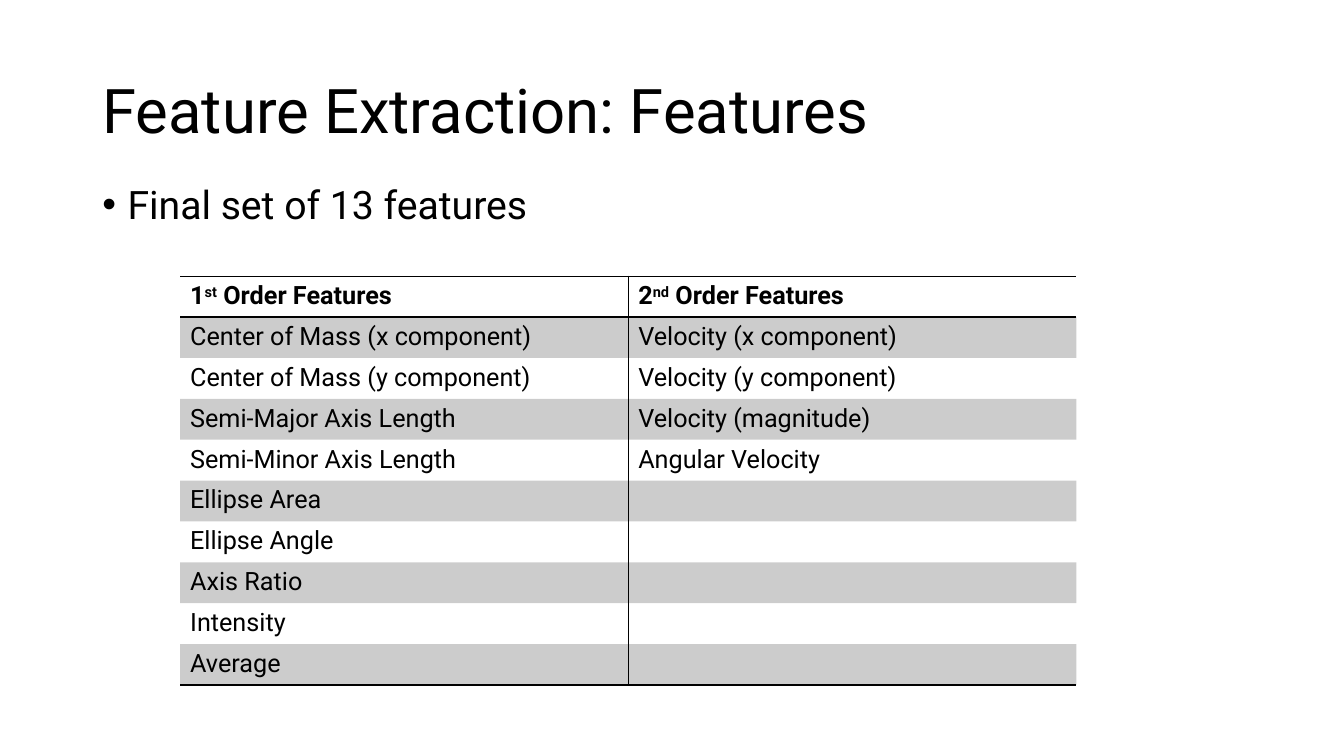
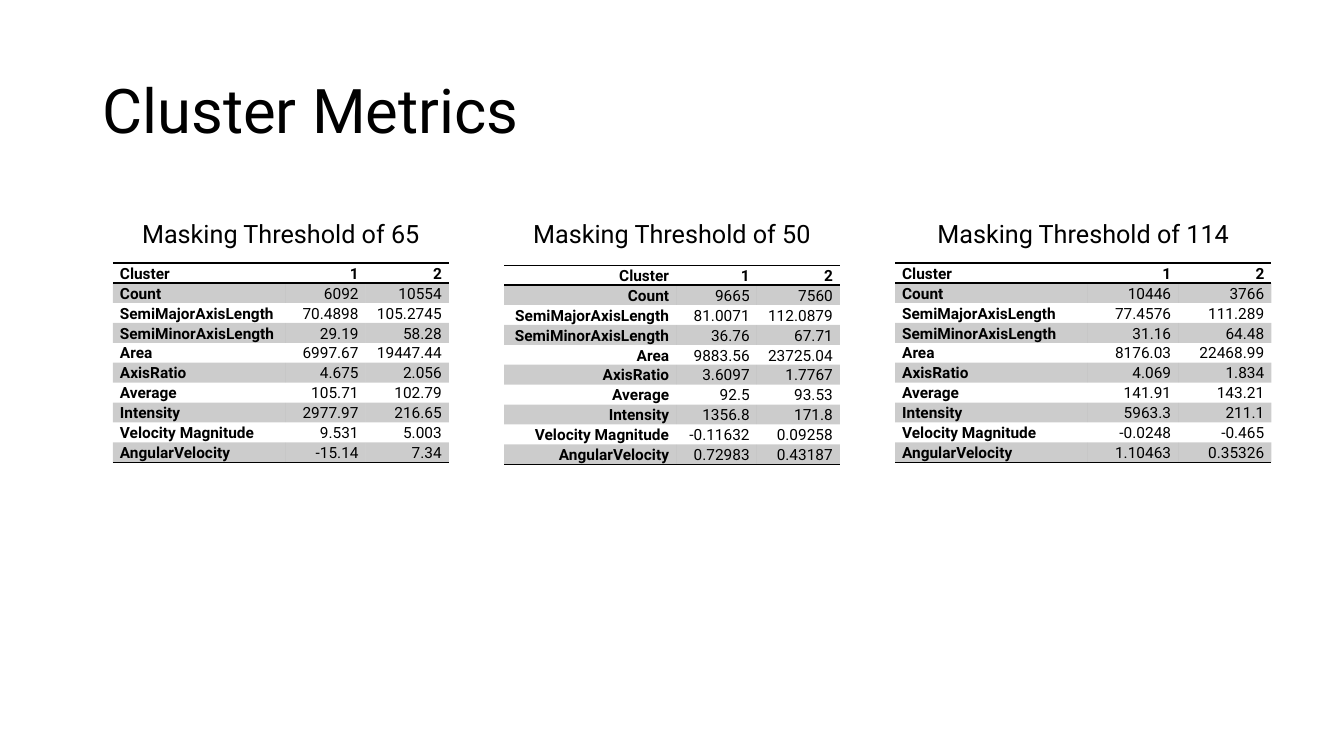
from itertools import zip_longest

from lxml.etree import SubElement
from pptx import Presentation
from pptx.dml.color import RGBColor
from pptx.enum.text import MSO_ANCHOR as Anchor, MSO_AUTO_SIZE as AutoSize, PP_ALIGN as Align
from pptx.oxml.ns import qn
from pptx.util import Inches, Pt

FONT, INK = "Roboto", "000000"
BAND_OPACITY = 20
GRID_COLUMNS, GRID_ROWS = 160, 90
TITLE_ONLY = 5
PLAIN_TABLE = "{2D5ABB26-0587-4C30-8999-92F81FD0307C}"

FIRST_ORDER = ["Center of Mass (x component)", "Center of Mass (y component)",
               "Semi-Major Axis Length", "Semi-Minor Axis Length", "Ellipse Area",
               "Ellipse Angle", "Axis Ratio", "Intensity", "Average"]
SECOND_ORDER = ["Velocity (x component)", "Velocity (y component)",
                "Velocity (magnitude)", "Angular Velocity"]

METRICS = ["Cluster", "Count", "SemiMajorAxisLength", "SemiMinorAxisLength", "Area",
           "AxisRatio", "Average", "Intensity", "Velocity Magnitude", "AngularVelocity"]
# threshold, table top, table width, name alignment, values of clusters 1 and 2
CLUSTERINGS = [
    (65, 31.32, 40, Align.LEFT,
     ["1", "6092", "70.4898", "29.19", "6997.67", "4.675", "105.71", "2977.97", "9.531", "-15.14"],
     ["2", "10554", "105.2745", "58.28", "19447.44", "2.056", "102.79", "216.65", "5.003", "7.34"]),
    (50, 31.56, 40, Align.RIGHT,
     ["1", "9665", "81.0071", "36.76", "9883.56", "3.6097", "92.5", "1356.8", "-0.11632", "0.72983"],
     ["2", "7560", "112.0879", "67.71", "23725.04", "1.7767", "93.53", "171.8", "0.09258", "0.43187"]),
    (114, 31.32, 44.8, Align.LEFT,
     ["1", "10446", "77.4576", "31.16", "8176.03", "4.069", "141.91", "5963.3", "-0.0248", "1.10463"],
     ["2", "3766", "111.289", "64.48", "22468.99", "1.834", "143.21", "211.1", "-0.465", "0.35326"]),
]


def color(value):
    return RGBColor.from_string(value)


def assign(target, formats):
    for name, value in formats.items():
        setattr(target, name, value)


def write(paragraph, text, size, bold=False, **formats):
    """Fill a paragraph; text between carets is superscript."""
    assign(paragraph, formats)
    for index, part in enumerate(text.split("^")):
        run = paragraph.add_run()
        run.text = part
        assign(run.font, {"name": FONT, "size": Pt(size), "bold": bold})
        run.font.color.rgb = color(INK)
        if index % 2:
            run.font._element.set("baseline", "30000")


def border(cell, sides):
    """Rule the given sides, which come in the order L, R, T, B."""
    for side in sides:
        line = SubElement(cell._tc.get_or_add_tcPr(), qn(f"a:ln{side}"), w=str(Pt(1)))
        fill = SubElement(line, qn("a:solidFill"))
        SubElement(fill, qn("a:srgbClr"), val=INK)


def shade(cell):
    cell.fill.solid()
    cell.fill.fore_color.rgb = color(INK)
    tint = cell._tc.tcPr.find(f"{qn('a:solidFill')}/{qn('a:srgbClr')}")
    SubElement(tint, qn("a:alpha"), val=str(BAND_OPACITY * 1000))


class Deck:
    def __init__(self):
        self.show = Presentation()
        assign(self.show, {"slide_width": Inches(13.333), "slide_height": Inches(7.5)})
        self.slide = None

    def box(self, left, top, width, height):
        """Turn grid columns and rows into lengths."""
        column = self.show.slide_width / GRID_COLUMNS
        row = self.show.slide_height / GRID_ROWS
        return [round(n) for n in (left * column, top * row, width * column, height * row)]

    def start(self, title):
        self.slide = self.show.slides.add_slide(self.show.slide_layouts[TITLE_ONLY])
        heading = self.slide.shapes.title
        place = self.box(11, 4.8, 138, 17.4)
        assign(heading, dict(zip(("left", "top", "width", "height"), place)))
        heading.text_frame.vertical_anchor = Anchor.MIDDLE
        write(heading.text_frame.paragraphs[0], title, 44,
              alignment=Align.LEFT, line_spacing=0.9)

    def text(self, place, text, size, auto_size=AutoSize.NONE, **formats):
        frame = self.slide.shapes.add_textbox(*self.box(*place)).text_frame
        assign(frame, {"word_wrap": True, "auto_size": auto_size})
        write(frame.paragraphs[0], text, size, **formats)
        return frame.paragraphs[0]

    def bullet(self, place, text, size):
        point = self.text(place, text, size, line_spacing=0.9, space_before=Pt(10))
        properties = point._p.get_or_add_pPr()
        properties.set("marL", str(Inches(0.25)))
        properties.set("indent", str(-Inches(0.25)))
        SubElement(properties, qn("a:buFont"), typeface="Arial")
        SubElement(properties, qn("a:buChar"), char="•")

    def table(self, place, rows, shares, size, aligns, bold_names=False, divider=False,
              cell_formats=None, **formats):
        """Banded table with rules above and below the header and at the foot."""
        left, top, width, height = self.box(*place)
        table = self.slide.shapes.add_table(
            len(rows), len(shares), left, top, width, height).table
        assign(table, {"first_row": False, "horz_banding": False})
        table._tbl.tblPr.find(qn("a:tableStyleId")).text = PLAIN_TABLE
        for column, share in zip(table.columns, shares):
            column.width = round(width * share / sum(shares))
        for r, texts in enumerate(rows):
            table.rows[r].height = round(height / len(rows))
            for c, text in enumerate(texts):
                cell = table.cell(r, c)
                assign(cell, cell_formats or {})
                write(cell.text_frame.paragraphs[0], text, size, alignment=aligns[c],
                      bold=r == 0 or (bold_names and c == 0), **formats)
                sides = ("L" if c else "R") if divider else ""
                sides += "T" if r == 0 else ""
                sides += "B" if r in (0, len(rows) - 1) else ""
                border(cell, sides)
                if r % 2:
                    shade(cell)
                else:
                    cell.fill.background()


def features(deck):
    deck.start("Feature Extraction: Features")
    deck.bullet((11, 21.5, 143.6, 9.2), "Final set of 13 features", 28)
    rows = [("1^st^ Order Features", "2^nd^ Order Features"),
            *zip_longest(FIRST_ORDER, SECOND_ORDER, fillvalue="")]
    deck.table((21.44, 32.88, 106.7, 48.7), rows, (1, 1), 18,
               (Align.LEFT, Align.LEFT), divider=True)


def cluster_metrics(deck):
    deck.start("Cluster Metrics")
    tight = {"vertical_anchor": Anchor.BOTTOM, "margin_left": Inches(0.07),
             "margin_right": Inches(0.07), "margin_top": 0, "margin_bottom": 0}
    for index, (threshold, top, width, name_align, *clusters) in enumerate(CLUSTERINGS):
        left = 13.44 + 46.56 * index
        deck.table((left, top, width, 23.76), list(zip(METRICS, *clusters)),
                   (20.5, 9.6, 9.9), 11, (name_align, Align.RIGHT, Align.RIGHT),
                   bold_names=True, cell_formats=tight,
                   line_spacing=1.07, space_after=Pt(8))
        deck.text((left, 25.44, width, 4.8), f"Masking Threshold of {threshold}", 18,
                  auto_size=AutoSize.SHAPE_TO_FIT_TEXT, alignment=Align.CENTER)


def main():
    deck = Deck()
    features(deck)
    cluster_metrics(deck)
    deck.show.save("out.pptx")


if __name__ == "__main__":
    main()
